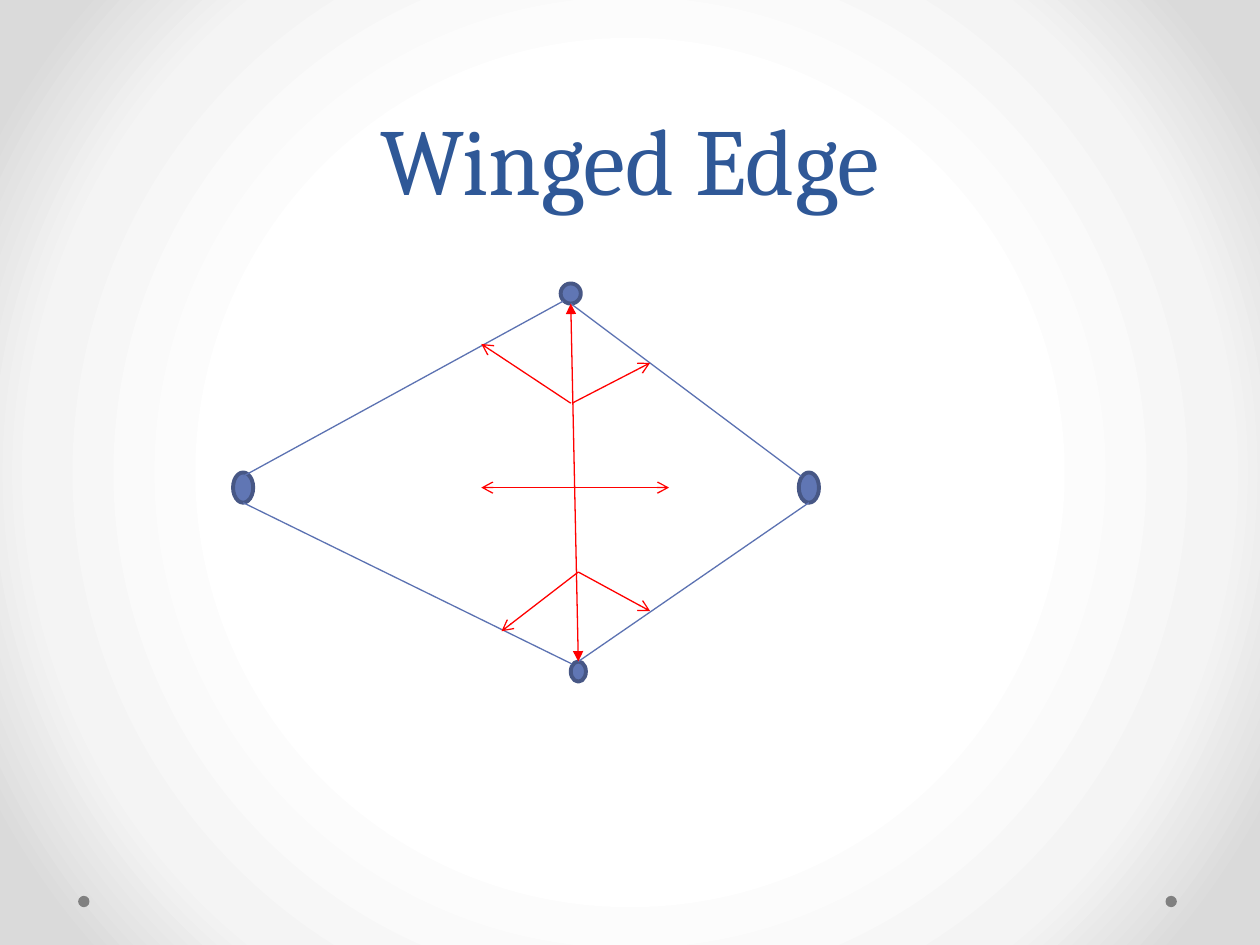
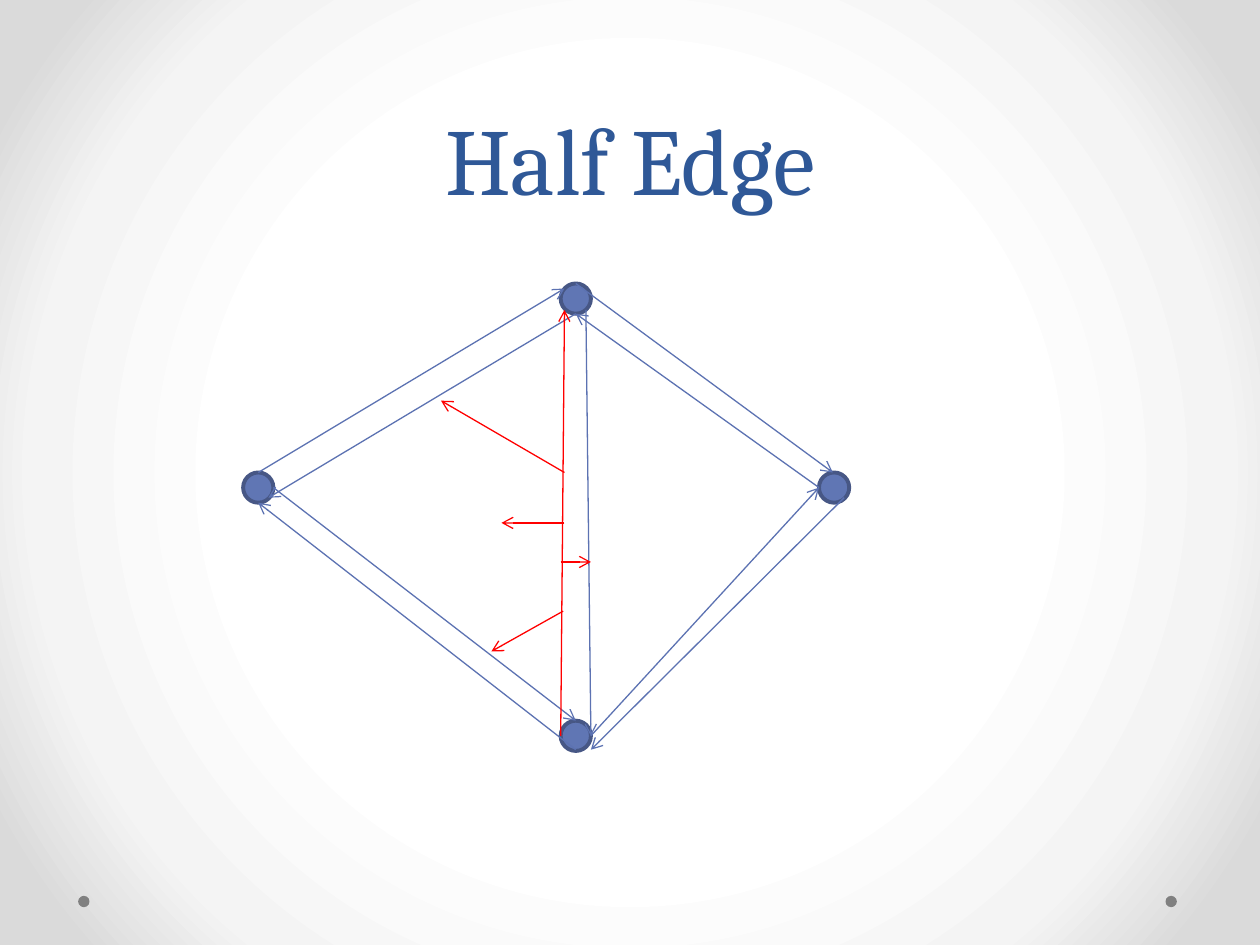
from lxml.etree import SubElement
from pptx import Presentation
from pptx.dml.color import RGBColor
from pptx.enum.shapes import MSO_CONNECTOR, MSO_SHAPE
from pptx.enum.text import MSO_ANCHOR, PP_ALIGN
from pptx.oxml.ns import qn
from pptx.util import Inches, Pt

COLORS = {
    "title": "2F5897",
    "node": "6076B4",
    "node_outline": "475785",
    "edge": "5C72B2",
    "pointer": "FF0000",
    "dot": "808080",
}
BACKGROUND_STOPS = [(50, "FFFFFF"), (76, "F4F4F4"), (92, "DADADA")]
TITLE_BOX = (0.5, 0, 9, 1.75)
TITLE_FONT = {"name": "Cambria", "size": Pt(54)}
TITLE_FRAME = {"word_wrap": True, "vertical_anchor": MSO_ANCHOR.BOTTOM}
TITLE_PARAGRAPH = {"alignment": PP_ALIGN.CENTER, "line_spacing": Pt(58)}
FOOTER_DOTS = [(9.25, 7.11, 0.09, 0.09), (0.62, 7.11, 0.09, 0.09)]

PLAIN = {}
ARROW = {"tailEnd": "arrow"}
DOUBLE = {"headEnd": "triangle", "tailEnd": "triangle"}

NODE = 0.24
SLIDES = [
    {
        "title": "Winged Edge",
        "nodes": [
            (4.45, 2.25, 0.16, 0.16),
            (4.53, 5.25, 0.12, 0.16),
            (6.34, 3.75, 0.16, 0.24),
            (1.85, 3.75, 0.16, 0.24),
        ],
        "lines": [
            ("edge", PLAIN, [
                ((4.47, 2.39), (1.93, 3.78)),
                ((4.53, 2.41), (6.36, 3.78)),
                ((6.42, 3.99), (4.59, 5.25)),
                ((1.93, 3.99), (4.54, 5.27)),
            ]),
            ("pointer", DOUBLE, [((4.53, 2.41), (4.59, 5.25))]),
            ("pointer", ARROW, [
                ((4.56, 3.87), (5.31, 3.87)),
                ((4.59, 3.87), (3.82, 3.87)),
                ((4.54, 3.2), (5.16, 2.88)),
                ((4.53, 3.2), (3.82, 2.73)),
                ((4.59, 4.54), (5.16, 4.85)),
                ((4.59, 4.54), (3.98, 5.01)),
            ]),
        ],
    },
    {
        "title": "Half Edge",
        "nodes": [
            (left, top, NODE, NODE)
            for left, top in [(4.45, 2.25), (4.45, 5.72), (1.93, 3.75), (6.5, 3.75)]
        ],
        "lines": [
            ("edge", ARROW, [
                ((4.57, 2.49), (2.13, 3.95)),
                ((2.05, 3.75), (4.48, 2.29)),
                ((2.17, 3.87), (4.57, 5.72)),
                ((4.57, 5.95), (2.05, 3.99)),
                ((4.65, 2.46), (4.69, 5.84)),
                ((4.69, 5.84), (6.5, 3.87)),
                ((6.5, 3.87), (4.57, 2.49)),
                ((4.57, 2.25), (6.61, 3.75)),
                ((6.7, 3.95), (4.69, 5.95)),
            ]),
            ("pointer", ARROW, [
                ((4.45, 5.84), (4.48, 2.46)),
                ((4.48, 4.15), (3.98, 4.15)),
                ((4.48, 3.75), (3.5, 3.18)),
                ((4.47, 4.85), (3.9, 5.17)),
                ((4.45, 4.46), (4.69, 4.46)),
            ]),
        ],
    },
]


def color(name):
    return RGBColor.from_string(COLORS[name])


def inches(lengths):
    return [Inches(length) for length in lengths]


def set_values(target, values):
    for name, value in values.items():
        setattr(target, name, value)


def set_background(master):
    master.background.fill.solid()
    properties = master.element.find(".//" + qn("p:bgPr"))
    properties.remove(properties.find(qn("a:solidFill")))
    gradient = properties.makeelement(qn("a:gradFill"), {"rotWithShape": "1"})
    properties.insert(0, gradient)
    stops = SubElement(gradient, qn("a:gsLst"))
    for percent, value in BACKGROUND_STOPS:
        stop = SubElement(stops, qn("a:gs"), pos=str(percent * 1000))
        SubElement(stop, qn("a:srgbClr"), val=value)
    center = SubElement(gradient, qn("a:path"), {"path": "circle"})
    SubElement(center, qn("a:fillToRect"), {side: "50000" for side in "ltrb"})


def add_title(slide, text):
    frame = slide.shapes.add_textbox(*inches(TITLE_BOX)).text_frame
    set_values(frame, TITLE_FRAME)
    paragraph = frame.paragraphs[0]
    set_values(paragraph, TITLE_PARAGRAPH)
    run = paragraph.add_run()
    run.text = text
    set_values(run.font, TITLE_FONT)
    run.font.color.rgb = color("title")


def add_round(slide, kind, box, fill, outline=None):
    shape = slide.shapes.add_shape(kind, *inches(box))
    shape.shadow.inherit = False
    shape.fill.solid()
    shape.fill.fore_color.rgb = color(fill)
    if outline:
        shape.line.color.rgb = color(outline)
        shape.line.width = Pt(2.25)
    else:
        shape.line.fill.background()


def add_line(slide, start, end, name, heads):
    connector = slide.shapes.add_connector(MSO_CONNECTOR.STRAIGHT, *inches(start + end))
    connector.line.color.rgb = color(name)
    connector.line.width = Pt(0.75)
    properties = connector.element.spPr
    outline = properties.find(qn("a:ln"))
    for tag, kind in heads.items():
        SubElement(outline, qn("a:" + tag), type=kind)
    SubElement(properties, qn("a:effectLst"))


def build_slide(presentation, content):
    slide = presentation.slides.add_slide(presentation.slide_layouts[6])
    for box in FOOTER_DOTS:
        add_round(slide, MSO_SHAPE.OVAL, box, "dot")
    add_title(slide, content["title"])
    for box in content["nodes"]:
        add_round(slide, MSO_SHAPE.FLOWCHART_CONNECTOR, box, "node", "node_outline")
    for name, heads, lines in content["lines"]:
        for start, end in lines:
            add_line(slide, start, end, name, heads)


def main():
    presentation = Presentation()
    set_values(presentation, {"slide_width": Inches(10), "slide_height": Inches(7.5)})
    set_background(presentation.slide_master)
    for content in SLIDES:
        build_slide(presentation, content)
    presentation.save("out.pptx")


if __name__ == "__main__":
    main()
